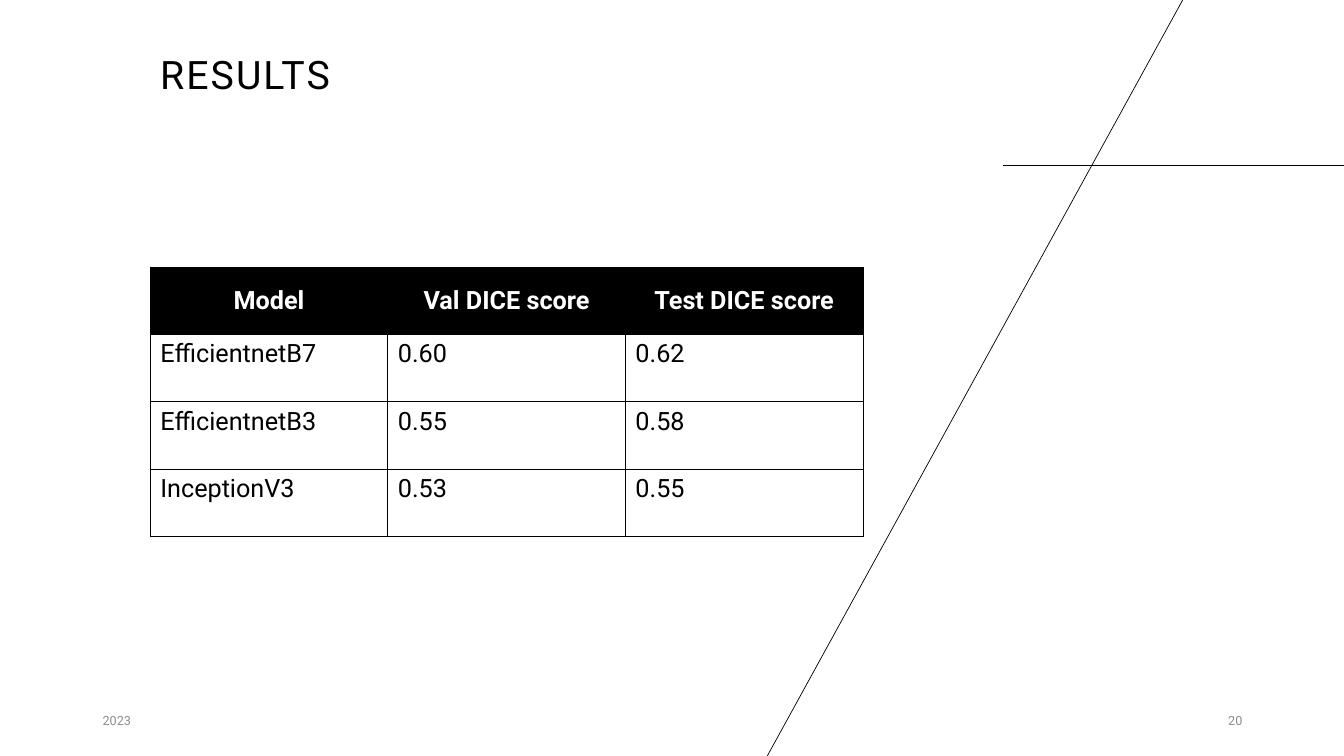
from lxml.etree import SubElement
from pptx import Presentation
from pptx.dml.color import RGBColor
from pptx.enum.shapes import MSO_CONNECTOR
from pptx.enum.text import MSO_ANCHOR, PP_ALIGN
from pptx.oxml import parse_xml
from pptx.oxml.ns import nsdecls, qn
from pptx.util import Inches, Pt

BLACK = RGBColor(0x00, 0x00, 0x00)
WHITE = RGBColor(0xFF, 0xFF, 0xFF)
GRAY = RGBColor(0x8C, 0x8C, 0x8C)
FONT = "Roboto"


def style(p, size, color, bold=False, align=PP_ALIGN.LEFT):
    p.alignment = align
    font = p.runs[0].font
    font.name, font.size, font.bold = FONT, Pt(size), bold
    font.color.rgb = color


def add_text(s, text, x, y, w, h, size, color, anchor, align=PP_ALIGN.LEFT):
    tf = s.shapes.add_textbox(Inches(x), Inches(y), Inches(w), Inches(h)).text_frame
    tf.word_wrap = True
    tf.vertical_anchor = anchor
    p = tf.paragraphs[0]
    p.text = text
    style(p, size, color, align=align)
    return p


prs = Presentation()
prs.slide_width, prs.slide_height = Inches(13.33), Inches(7.5)
s = prs.slides.add_slide(prs.slide_layouts[6])

# Decorative lines
for x1, y1, x2, y2 in [(9.95, 1.64, 13.33, 1.64), (11.73, 0, 7.61, 7.5)]:
    line = s.shapes.add_connector(
        MSO_CONNECTOR.STRAIGHT, Inches(x1), Inches(y1), Inches(x2), Inches(y2))
    line.line.color.rgb = BLACK
    line.line.width = Pt(0.5)
    SubElement(line._element.spPr, qn("a:effectLst"))

# Title
p = add_text(s, "RESULTS", 1.49, 0.39, 5.59, 0.63, 28, BLACK, MSO_ANCHOR.BOTTOM)
p.line_spacing = 0.9
p.runs[0].font._element.set("spc", "150")

# Footer
add_text(s, "2023", 0.92, 6.95, 1.33, 0.4, 9, GRAY, MSO_ANCHOR.MIDDLE)
add_text(s, "20", 9.42, 6.95, 3, 0.4, 9, GRAY, MSO_ANCHOR.MIDDLE, PP_ALIGN.RIGHT)

# Score table
scores = [
    ("Model", "Val DICE score", "Test DICE score"),
    ("EfficientnetB7", "0.60", "0.62"),
    ("EfficientnetB3", "0.55", "0.58"),
    ("InceptionV3", "0.53", "0.55"),
]
table = s.shapes.add_table(
    len(scores), 3, Inches(1.49), Inches(2.65), Inches(7.07), Inches(2.67)).table
table.horz_banding = False

for r, row in enumerate(scores):
    header = r == 0
    for c, text in enumerate(row):
        cell = table.cell(r, c)
        cell.fill.solid()
        cell.fill.fore_color.rgb = BLACK if header else WHITE
        cell.vertical_anchor = MSO_ANCHOR.MIDDLE if header else MSO_ANCHOR.TOP
        p = cell.text_frame.paragraphs[0]
        p.text = text
        if header:
            style(p, 18, WHITE, True, PP_ALIGN.CENTER)
        else:
            style(p, 18, BLACK)

        # Cell borders
        tcPr = cell._tc.get_or_add_tcPr()
        for i, side in enumerate(("lnL", "lnR", "lnT", "lnB")):
            inner = (side == "lnL" and c > 0) or (side == "lnR" and c < 2)
            width = Pt(1 if inner and not header else 0.5)
            tcPr.insert(i, parse_xml(
                f'<a:{side} {nsdecls("a")} w="{width}"><a:solidFill>'
                f'<a:srgbClr val="{BLACK}"/></a:solidFill></a:{side}>'))

prs.save("out.pptx")
